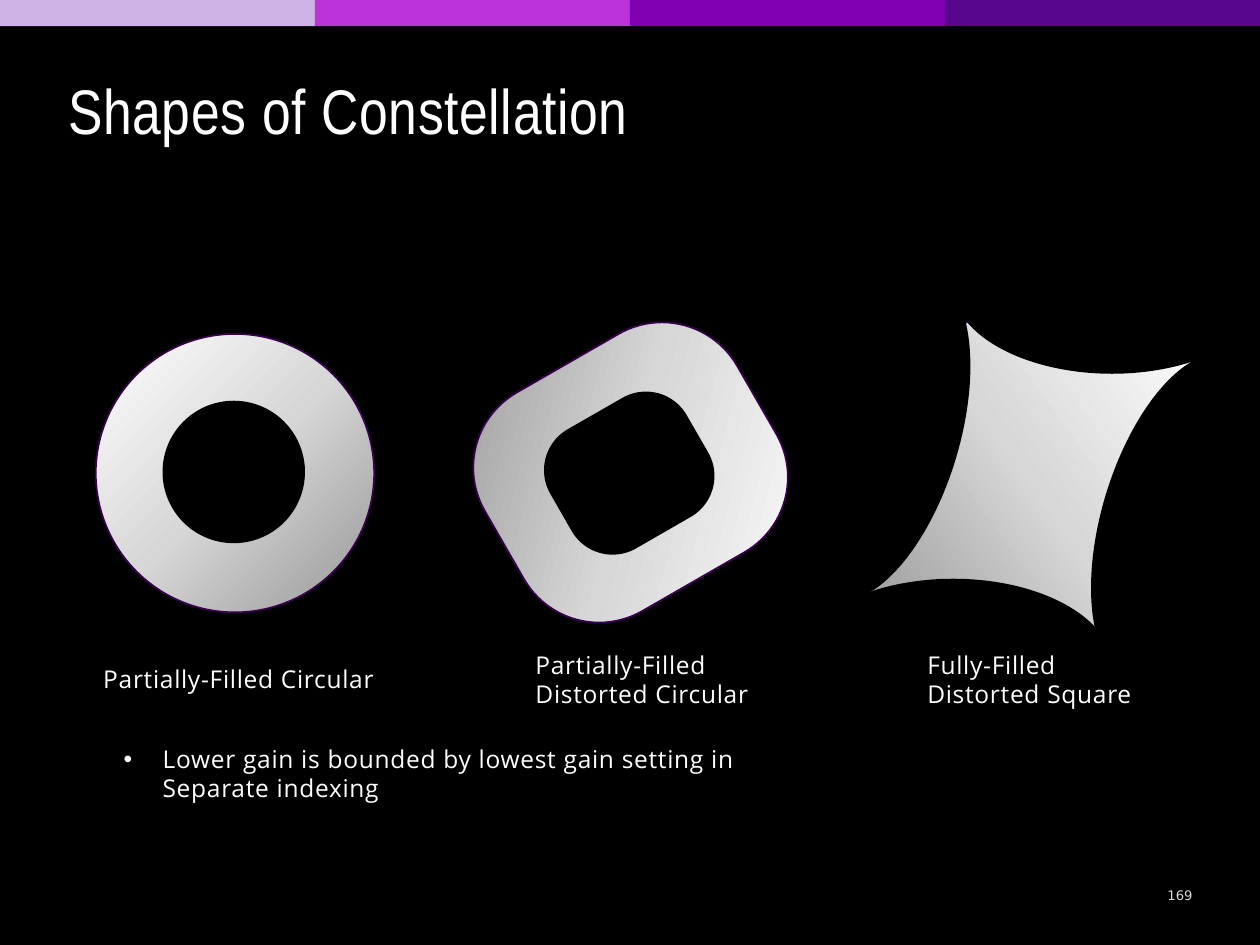
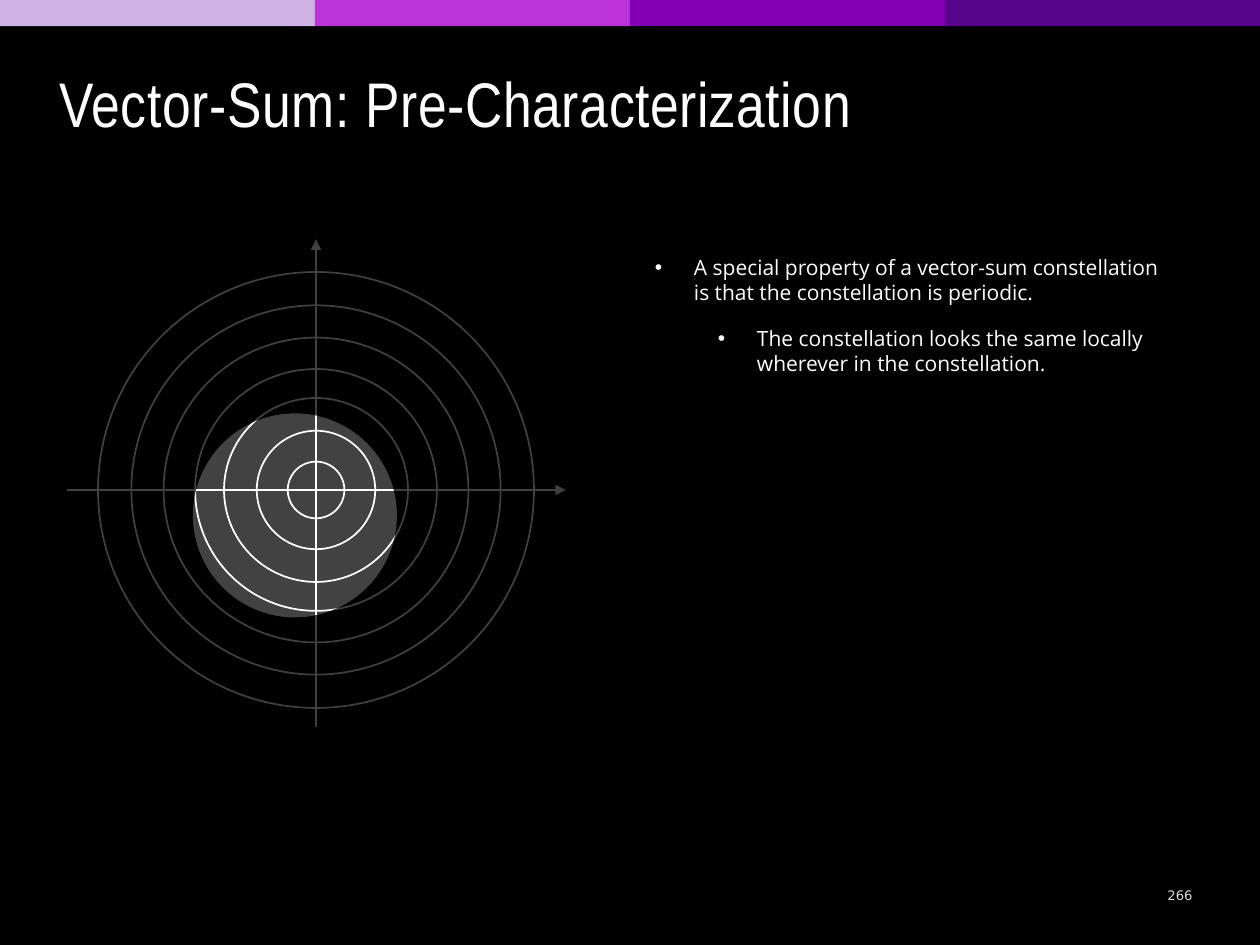
from math import cos, pi, sin
from lxml.etree import SubElement
from pptx import Presentation
from pptx.dml.color import RGBColor
from pptx.enum.shapes import MSO_CONNECTOR, MSO_SHAPE
from pptx.enum.text import MSO_ANCHOR, PP_ALIGN
from pptx.oxml import parse_xml
from pptx.oxml.ns import nsdecls, qn
from pptx.util import Pt

BLACK = RGBColor(0x00, 0x00, 0x00)
WHITE = RGBColor(0xFF, 0xFF, 0xFF)
PAGE_GREY = RGBColor(0xD9, 0xD9, 0xD9)
OUTLINE = RGBColor(0x38, 0x00, 0x4E)
BAND_COLORS = [RGBColor(0xCF, 0xB3, 0xE6), RGBColor(0xBD, 0x33, 0xDA),
               RGBColor(0x80, 0x00, 0xB3), RGBColor(0x57, 0x05, 0x8A)]
SILVER_STOPS = [(0, RGBColor(0x97, 0x97, 0x97)), (50, RGBColor(0xD7, 0xD7, 0xD7)), (100, WHITE)]
BODY_FONT = "Open Sans"
TIGHT_INSETS = (0, 3.6, 7.2, 3.6)
NORMAL_INSETS = (7.2, 3.6, 7.2, 3.6)


def add_shape(slide, kind, box, fill=None, line=None, rotation=0, alpha=None):
    shape = slide.shapes.add_shape(kind, *[Pt(length) for length in box])
    shape.shadow.inherit = False
    shape.rotation = rotation
    if fill is None:
        shape.fill.background()
    else:
        shape.fill.solid()
        shape.fill.fore_color.rgb = fill
    if alpha:
        color = shape._element.spPr.find(qn("a:solidFill"))[0]
        SubElement(color, qn("a:alpha"), val=str(alpha * 1000))
    if line is None:
        shape.line.fill.background()
    else:
        shape.line.color.rgb = line
        shape.line.width = Pt(1)
    return shape


def add_text(slide, box, lines, size=14, font=BODY_FONT, color=WHITE, anchor=MSO_ANCHOR.BOTTOM,
             insets=TIGHT_INSETS, spacing=40, align=PP_ALIGN.LEFT, bullet_indents=()):
    frame = slide.shapes.add_textbox(*[Pt(length) for length in box]).text_frame
    frame.word_wrap = True
    frame.vertical_anchor = anchor
    frame.margin_left, frame.margin_top, frame.margin_right, frame.margin_bottom = map(Pt, insets)
    for index, line in enumerate(lines):
        paragraph = frame.paragraphs[0] if index == 0 else frame.add_paragraph()
        run = paragraph.add_run()
        run.text = line
        paragraph.alignment = align
        if bullet_indents:
            paragraph.level = index
            if index:
                paragraph.space_before = Pt(12)
            properties = paragraph._p.get_or_add_pPr()
            properties.set("marL", str(Pt(bullet_indents[index])))
            properties.set("indent", str(-Pt(22.3)))
            SubElement(properties, qn("a:buFont"), typeface="Arial")
            SubElement(properties, qn("a:buChar"), char="•")
        paragraph.font.size = Pt(size)
        paragraph.font.name = font
        paragraph.font.color.rgb = color
        if spacing:
            run._r.get_or_add_rPr().set("spc", str(spacing))


presentation = Presentation()
presentation.slide_width = Pt(720)
presentation.slide_height = Pt(540)

slides = []
for title, title_box, page in [
    ("Shapes of Constellation", (38.9, 40.3, 425.5, 47.5), "169"),
    ("Vector-Sum: Pre-Characterization", (33.8, 36, 620.6, 47.5), "266"),
]:
    slide = presentation.slides.add_slide(presentation.slide_layouts[6])
    slide.background.fill.solid()
    slide.background.fill.fore_color.rgb = BLACK
    for index, color in enumerate(BAND_COLORS):
        add_shape(slide, MSO_SHAPE.RECTANGLE, (180 * index, 0, 180, 15), color)
    add_text(slide, title_box, [title], size=36, font="Arial Narrow")
    add_text(slide, (658.1, 501.8, 32.4, 19.4), [page], size=7.5, font="DejaVu Sans",
             color=PAGE_GREY, anchor=MSO_ANCHOR.MIDDLE, insets=NORMAL_INSETS, spacing=0,
             align=PP_ALIGN.CENTER)
    slides.append(slide)

shapes_slide, vector_slide = slides

stops = "".join(f'<a:gs pos="{position * 1000}"><a:srgbClr val="{color}"/></a:gs>'
                for position, color in SILVER_STOPS)
radial = '<a:path path="circle"><a:fillToRect l="100000" t="100000"/></a:path>'
for kind, box, rotation, shading in [
    (MSO_SHAPE.OVAL, (54.7, 190.8, 159.1, 159.1), 0, radial),
    (MSO_SHAPE.ROUNDED_RECTANGLE, (277.2, 198, 166.3, 144), 330.1,
     '<a:lin ang="2700000" scaled="1"/>'),
    (MSO_SHAPE.FLOWCHART_DATA, (504.7, 190.8, 168.5, 164.2), 9.2,
     '<a:lin ang="18900000" scaled="1"/>'),
]:
    constellation = add_shape(shapes_slide, kind, box, WHITE, OUTLINE, rotation)
    if kind == MSO_SHAPE.ROUNDED_RECTANGLE:
        constellation.adjustments[0] = 0.344
    properties = constellation._element.spPr
    gradient = parse_xml(f'<a:gradFill {nsdecls("a")} rotWithShape="1">'
                         f'<a:gsLst>{stops}</a:gsLst>{shading}</a:gradFill>')
    properties.replace(properties.find(qn("a:solidFill")), gradient)

for box, rotation in [
    ((544.3, 110.9, 182.2, 102.2), 0),
    ((578.2, 251.3, 193.7, 89.3), 286.8),
    ((453.6, 331.2, 182.2, 102.2), 0),
    ((406.1, 204.5, 193.7, 89.3), 286.8),
]:
    add_shape(shapes_slide, MSO_SHAPE.OVAL, box, BLACK, BLACK, rotation)

rounded_hole = add_shape(shapes_slide, MSO_SHAPE.ROUNDED_RECTANGLE, (314.6, 231.1, 90, 78.5),
                         BLACK, rotation=330.1)
rounded_hole.adjustments[0] = 0.344
add_shape(shapes_slide, MSO_SHAPE.OVAL, (92.9, 229, 81.4, 81.4), BLACK)

for box, lines in [
    ((59, 365, 162, 34.6), ["Partially-Filled Circular"]),
    ((306, 373.7, 141.1, 34.6), ["Partially-Filled", "Distorted Circular"]),
    ((529.9, 373.7, 141.1, 34.6), ["Fully-Filled", "Distorted Square"]),
]:
    add_text(shapes_slide, box, lines)
add_text(shapes_slide, (70.6, 427.7, 402.5, 34.6),
         ["Lower gain is bounded by lowest gain setting in Separate indexing"],
         bullet_indents=[22.3])

origin_x, origin_y = 180.6, 280
for ends in [(38.2, origin_y, 323.3, origin_y), (origin_x, 415.4, origin_x, 136.8)]:
    axis = vector_slide.shapes.add_connector(MSO_CONNECTOR.STRAIGHT, *[Pt(end) for end in ends])
    axis.line.color.rgb = WHITE
    axis.line.width = Pt(0.75)
    SubElement(axis.line._get_or_add_ln(), qn("a:tailEnd"), type="triangle")
    SubElement(axis._element.spPr, qn("a:effectLst"))
for diameter in [32.4, 67.7, 105.1, 138.2, 174.2, 211, 249.1]:
    add_shape(vector_slide, MSO_SHAPE.OVAL,
              (origin_x - diameter / 2, origin_y - diameter / 2, diameter, diameter), line=WHITE)

spot_x, spot_y, radius = 168.5, 294.5, 58.3
rim = [(Pt(spot_x + radius * cos(step * pi / 60)), Pt(spot_y - radius * sin(step * pi / 60)))
       for step in range(120)]
builder = vector_slide.shapes.build_freeform(*rim[0])
builder.add_line_segments(rim[1:], close=True)
builder.move_to(Pt(0), Pt(98))
builder.add_line_segments([(Pt(357), Pt(98)), (Pt(357), Pt(477)), (Pt(0), Pt(477))], close=True)
dimmer = builder.convert_to_shape()
dimmer.shadow.inherit = False
dimmer.fill.solid()
dimmer.fill.fore_color.rgb = BLACK
SubElement(dimmer._element.spPr.find(qn("a:solidFill"))[0], qn("a:alpha"), val="75000")
dimmer.line.fill.background()
add_shape(vector_slide, MSO_SHAPE.OVAL,
          (spot_x - radius, spot_y - radius, 2 * radius, 2 * radius), WHITE, alpha=26)

add_text(vector_slide, (367.2, 141.8, 313.9, 77.8),
         ["A special property of a vector-sum constellation is that the constellation is periodic.",
          "The constellation looks the same locally wherever in the constellation."],
         size=12, anchor=MSO_ANCHOR.TOP, insets=NORMAL_INSETS, spacing=0,
         bullet_indents=[22.3, 58.3])

presentation.save("out.pptx")
